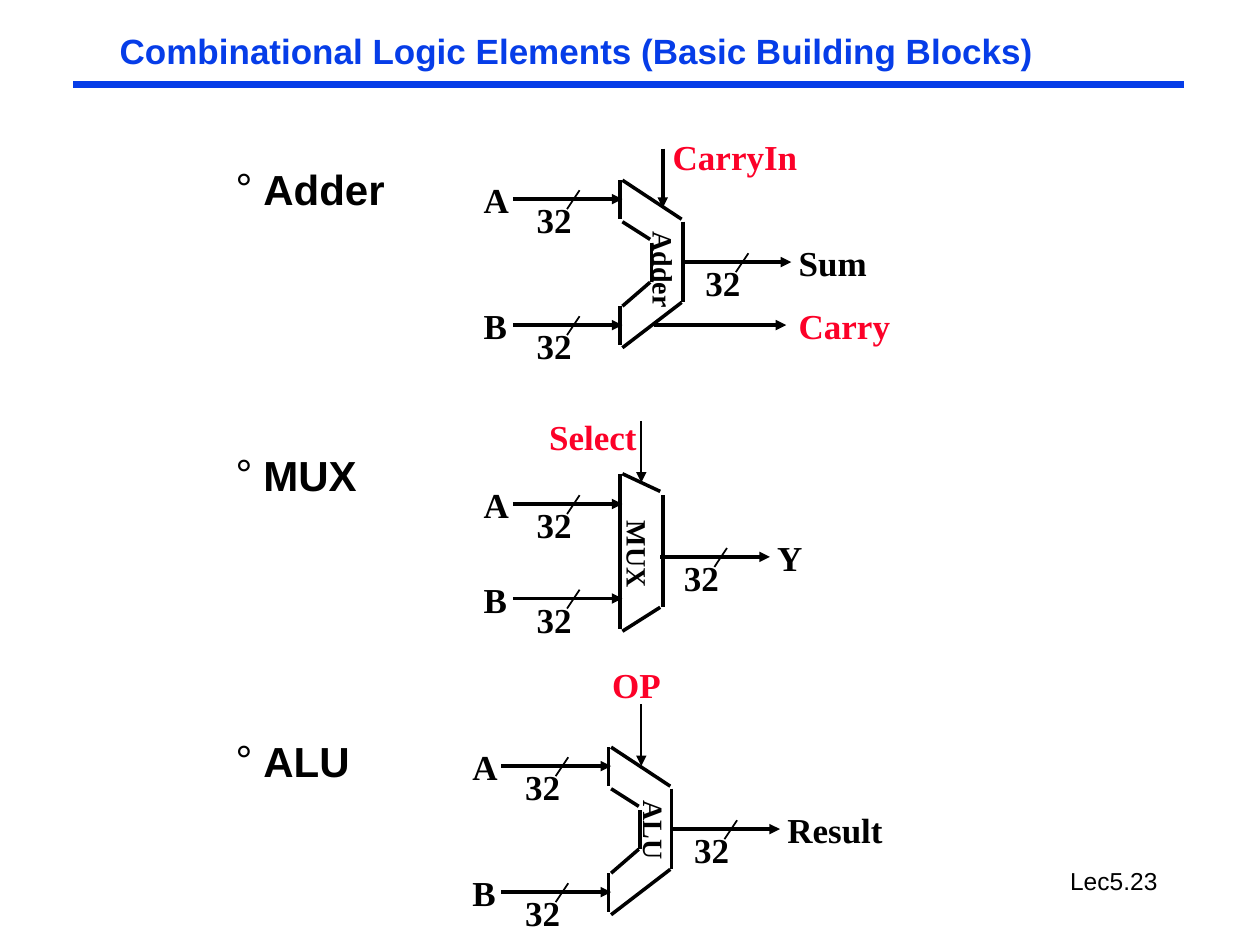
"""Build a slide of combinational logic blocks: adder, MUX and ALU."""
from lxml import etree
from pptx import Presentation
from pptx.dml.color import RGBColor
from pptx.enum.shapes import MSO_CONNECTOR
from pptx.enum.text import MSO_AUTO_SIZE, PP_ALIGN
from pptx.oxml.ns import qn
from pptx.util import Inches, Pt

STRAIGHT = MSO_CONNECTOR.STRAIGHT
GROW, FIXED = MSO_AUTO_SIZE.SHAPE_TO_FIT_TEXT, MSO_AUTO_SIZE.NONE
CENTER = PP_ALIGN.CENTER
BLACK, BLUE, RED = "000000", "063DE8", "FC0128"
SERIF, SANS = "Times New Roman", "Arial"

prs = Presentation()
prs.slide_width, prs.slide_height = Inches(10), Inches(7.5)
slide = prs.slides.add_slide(prs.slide_layouts[6])


def add_line(home, x1, y1, x2, y2, width=2, color=BLACK, arrow=False):
    line = home.add_connector(STRAIGHT, Inches(x1), Inches(y1), Inches(x2), Inches(y2))
    line.line.width = Pt(width)
    line.line.color.rgb = RGBColor.from_string(color)
    props = line._element.spPr
    if arrow:
        etree.SubElement(props.find(qn("a:ln")), qn("a:tailEnd"), type="triangle")
    etree.SubElement(props, qn("a:effectLst"))


def add_text(words, x, y, w, h=0.43, size=20, color=BLACK, font=SERIF, bold=True,
             pad=(0.1, 0.05), wrap=False, fit=GROW):
    box = slide.shapes.add_textbox(Inches(x), Inches(y), Inches(w), Inches(h))
    frame = box.text_frame
    frame.word_wrap, frame.auto_size = wrap, fit
    frame.margin_left = frame.margin_right = Inches(pad[0])
    frame.margin_top = frame.margin_bottom = Inches(pad[1])
    frame.text = words
    for para in frame.paragraphs:
        for run in para.runs:
            run.font.name, run.font.size, run.font.bold = font, Pt(size), bold
            run.font.color.rgb = RGBColor.from_string(color)
    return box


shapes = slide.shapes
add_line(shapes, 0.58, 0.67, 9.4, 0.67, 3.75, BLUE)
plain = dict(font=SANS, pad=(0.07, 0.03), wrap=True)
foot = add_text("Lec5.23", 7.8, 6.84, 2.08, 0.29, 14, bold=False, **plain)
foot.text_frame.paragraphs[0].alignment = CENTER
title = add_text("Combinational Logic Elements (Basic Building Blocks)",
                 0.88, 0.25, 7.44, 0.35, color=BLUE, **plain)
title.text_frame.paragraphs[0].line_spacing = 0.87

body = add_text("Adder\nMUX\nALU", 1.8, 1.33, 2.04, 4.94, 24, fit=FIXED, **plain)
for i, para in enumerate(body.text_frame.paragraphs):
    para.line_spacing = 0.85
    para.space_before = Pt(139 if i else 0)
    props = para._p.get_or_add_pPr()
    props.set("marL", str(Inches(0.22)))
    props.set("indent", str(Inches(-0.22)))
    etree.SubElement(props, qn("a:buFont"), typeface=SANS)
    etree.SubElement(props, qn("a:buChar"), char="°")

NOTCHED = [
    (-0.02, 0, -0.02, 0.31), (0, 0, 0.47, 0.31), (0, 0.33, 0.22, 0.47),
    (0.23, 0.5, 0.23, 0.81), (0.48, 0.33, 0.48, 0.97), (0, 1, 0.22, 0.81),
    (-0.02, 1, -0.02, 1.31), (0, 1.33, 0.47, 0.97),
]
TAPERED = [
    (-0.02, 0, -0.02, 1.23), (0, 0, 0.3, 0.14),
    (0, 1.25, 0.3, 1.06), (0.32, 0.17, 0.32, 1.06),
]
blocks = [
    (4.94, 1.43, NOTCHED, (0.15, 1.15), (0.47, 0.65), "Sum", 0.74),
    (4.94, 3.76, TAPERED, (0.24, 0.99), (0.3, 0.66), "Y", 0.4),
    (4.85, 5.93, NOTCHED, (0.15, 1.15), (0.47, 0.65), "Result", 0.98),
]
for left, top, sides, ins, out, name, wide in blocks:
    group = shapes.add_group_shape()
    for x1, y1, x2, y2 in sides:
        add_line(group.shapes, left + x1, top + y1, left + x2, top + y2)
    wires = [(left - 0.87, top + ins[0], "A", -0.33, 0.4),
             (left - 0.87, top + ins[1], "B", -0.33, 0.38),
             (left + out[0], top + out[1], name, 0.83, wide)]
    for x, y, label, shift, w in wires:
        add_line(shapes, x, y, x + 0.87, y, arrow=True)
        add_line(shapes, x + 0.53, y - 0.07, x + 0.43, y + 0.08, 1)
        add_text("32", x + 0.09, y - 0.05, 0.48)
        add_text(label, x + shift, y - 0.21, w)

for label, x, y, w in [("Adder", 4.87, 1.96, 0.8), ("MUX", 4.7, 4.22, 0.73),
                       ("ALU", 4.86, 6.41, 0.67)]:
    add_text(label, x, y, w, 0.36, 16).rotation = 90

controls = [
    ("CarryIn", 5.24, 1.03, 1.21, (5.26, 1.18, 5.26, 1.65), 2),
    ("Carry", 6.24, 2.37, 0.96, (5.19, 2.58, 6.24, 2.58), 2),
    ("Select", 4.26, 3.25, 0.93, (5.09, 3.34, 5.09, 3.83), 1),
    ("OP", 4.76, 5.22, 0.66, (5.09, 5.59, 5.09, 6.08), 1),
]
for label, x, y, w, ends, width in controls:
    add_line(shapes, *ends, width, arrow=True)
    add_text(label, x, y, w, color=RED)

prs.save("out.pptx")
